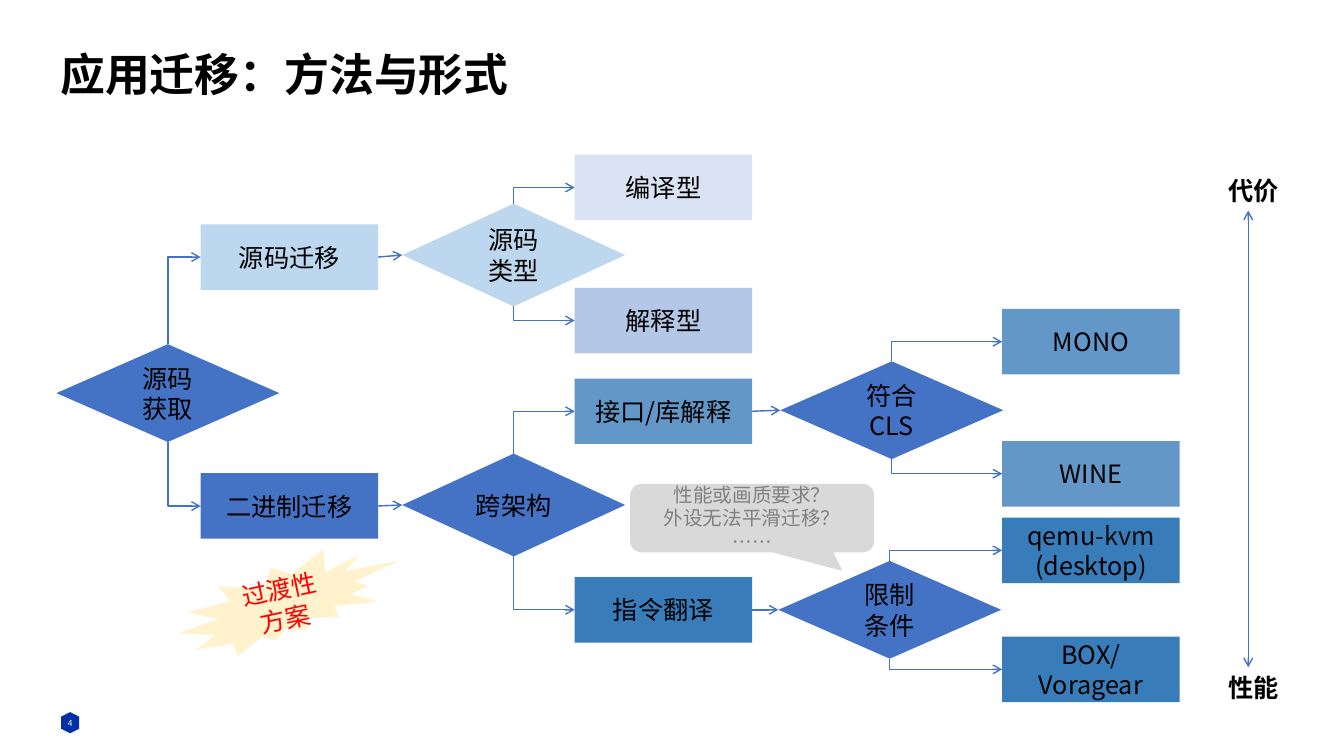
from dataclasses import dataclass

from lxml.etree import SubElement
from pptx import Presentation
from pptx.dml.color import RGBColor
from pptx.enum.shapes import MSO_CONNECTOR, MSO_SHAPE
from pptx.enum.text import MSO_ANCHOR, PP_ALIGN
from pptx.oxml.ns import qn
from pptx.util import Inches, Pt


@dataclass(frozen=True)
class Theme:
    font: str = "Noto Sans CJK SC"
    title: int = 32
    body: int = 18
    note: int = 14
    number: int = 6
    line: int = 1
    black: str = "000000"
    near_black: str = "0D0D0D"
    white: str = "FFFFFF"
    gray: str = "808080"
    light_gray: str = "D9D9D9"
    red: str = "FF0000"
    cream: str = "FFF2CC"
    navy: str = "002FA7"
    blue: str = "4472C4"
    sky: str = "BDD7EE"
    pale: str = "DAE3F3"
    soft: str = "B4C7E7"
    deep: str = "2E75B6"


@dataclass(frozen=True)
class Box:
    left: float
    top: float
    width: float
    height: float

    def inner(self, left, top, width, height):
        return Box(self.left + left, self.top + top, width, height)

    def emu(self):
        return [Inches(v) for v in (self.left, self.top, self.width, self.height)]


THEME = Theme()
TOP, LEFT, BOTTOM, RIGHT = range(4)
DECISION_COLUMNS = (0, 3.43, 7.18)
CARD_COLUMNS = (1.43, 5.14, 9.38)
DECISION_WIDTH = 2.21
CARD_WIDTH, CARD_HEIGHT = 1.76, 0.65


def write(shape, lines, size=THEME.body, color=THEME.black, bold=False,
          align=PP_ALIGN.CENTER, anchor=MSO_ANCHOR.MIDDLE):
    frame = shape.text_frame
    frame.word_wrap = True
    frame.vertical_anchor = anchor
    for index, line in enumerate(lines):
        paragraph = frame.add_paragraph() if index else frame.paragraphs[0]
        paragraph.alignment = align
        for text, run_color in [(line, color)] if isinstance(line, str) else line:
            run = paragraph.add_run()
            run.text = text
            run.font.color.rgb = RGBColor.from_string(run_color)
            for name, value in {"size": Pt(size), "bold": bold, "name": THEME.font}.items():
                setattr(run.font, name, value)
            SubElement(run.font._element, qn("a:ea"), typeface=THEME.font)


def add_label(slide, box, lines, **style):
    write(slide.shapes.add_textbox(*box.emu()), lines, **style)


def add_block(slide, kind, box, fill, lines=(), alpha=100, rotation=0, **style):
    shape = slide.shapes.add_shape(kind, *box.emu())
    shape.shadow.inherit = False
    shape.rotation = rotation
    shape.line.fill.background()
    shape.fill.solid()
    shape.fill.fore_color.rgb = RGBColor.from_string(fill)
    if alpha < 100:
        color = shape._element.spPr.find(qn("a:solidFill"))[0]
        SubElement(color, qn("a:alpha"), val=str(alpha * 1000))
    write(shape, lines, **style)
    return shape


def add_arrow(slide, kind, start=(0, 0), end=(0, 0), ends=("tailEnd",)):
    connector = slide.shapes.add_connector(kind, *map(Inches, start + end))
    connector.line.color.rgb = RGBColor.from_string(THEME.blue)
    connector.line.width = Pt(THEME.line)
    for name in ends:
        SubElement(connector.line._get_or_add_ln(), qn(f"a:{name}"), type="arrow")
    SubElement(connector._element.spPr, qn("a:effectLst"))
    return connector


def join(slide, card, decision):
    connector = add_arrow(slide, MSO_CONNECTOR.STRAIGHT)
    connector.begin_connect(card, RIGHT)
    connector.end_connect(decision, LEFT)


def branch(slide, decision, card, upward):
    connector = add_arrow(slide, MSO_CONNECTOR.ELBOW)
    connector.begin_connect(decision, TOP if upward else BOTTOM)
    connector.end_connect(card, LEFT)
    start_x = decision.left + decision.width // 2
    start_y = decision.top if upward else decision.top + decision.height
    end_x, end_y = card.left, card.top + card.height // 2
    across, along = end_x - start_x, abs(end_y - start_y)
    frame = {
        "left": (start_x + end_x - along) // 2,
        "top": (start_y + end_y - across) // 2,
        "width": along,
        "height": across,
    }
    for name, value in frame.items():
        setattr(connector, name, value)
    properties = connector._element.spPr
    properties.find(qn("a:prstGeom")).set("prst", "bentConnector2")
    turn = {"rot": "16200000" if upward else "5400000", "flipH": "0",
            "flipV": "0" if upward else "1"}
    for name, value in turn.items():
        properties.find(qn("a:xfrm")).set(name, value)


def draw_flow(slide, box):
    def decision(column, middle, height, fill, *lines, shift=0):
        place = box.inner(DECISION_COLUMNS[column] + shift, middle - height / 2,
                          DECISION_WIDTH, height)
        return add_block(slide, MSO_SHAPE.FLOWCHART_DECISION, place, fill, lines)

    def card(column, middle, fill, *lines, alpha=100):
        place = box.inner(CARD_COLUMNS[column], middle - CARD_HEIGHT / 2,
                          CARD_WIDTH, CARD_HEIGHT)
        return add_block(slide, MSO_SHAPE.RECTANGLE, place, fill, lines, alpha)

    access = decision(0, 2.37, 0.97, THEME.blue, "源码", "获取")
    source = card(0, 1.02, THEME.sky, "源码迁移")
    binary = card(0, 3.49, THEME.blue, "二进制迁移")
    source_type = decision(1, 1, 1.02, THEME.sky, "源码", "类型")
    compiled = card(1, 0.33, THEME.pale, "编译型")
    interpreted = card(1, 1.65, THEME.soft, "解释型")
    cross = decision(1, 3.48, 1.02, THEME.blue, "跨架构")
    library = card(1, 2.55, THEME.deep, "接口/库解释", alpha=75)
    translation = card(1, 4.52, THEME.deep, "指令翻译", alpha=95)
    standard = decision(2, 2.54, 0.97, THEME.blue, "符合", "CLS")
    mono = card(2, 1.86, THEME.deep, "MONO", alpha=75)
    wine = card(2, 3.17, THEME.deep, "WINE", alpha=75)
    limits = decision(2, 4.52, 0.97, THEME.blue, "限制", "条件", shift=-0.02)
    machine = [("qemu", THEME.black), ("-kvm", THEME.near_black)]
    virtual = card(2, 3.93, THEME.deep, machine, "(desktop)", alpha=95)
    emulator = card(2, 5.11, THEME.deep, "BOX/Voragear", alpha=95)

    for origin, upper, lower in (
        (access, source, binary),
        (source_type, compiled, interpreted),
        (cross, library, translation),
        (standard, mono, wine),
        (limits, virtual, emulator),
    ):
        branch(slide, origin, upper, True)
        branch(slide, origin, lower, False)
    for start, end in ((source, source_type), (binary, cross),
                       (library, standard), (translation, limits)):
        join(slide, start, end)


def draw_notes(slide, box):
    callout = add_block(
        slide, MSO_SHAPE.ROUNDED_RECTANGULAR_CALLOUT, box.inner(5.69, 3.27, 2.42, 0.68),
        THEME.light_gray, ("性能或画质要求？", "外设无法平滑迁移？", "……"),
        size=THEME.note, color=THEME.gray)
    for index, value in enumerate((0.37, 0.77, 0.17)):
        callout.adjustments[index] = value
    add_block(slide, MSO_SHAPE.EXPLOSION2, box.inner(1.17, 4, 2.3, 0.86),
              THEME.cream, ("过渡性", "方案"), rotation=348, color=THEME.red)


def draw_scale(slide, box):
    label_height = 0.4
    last = box.height - label_height
    for text, top in (("代价", 0), ("性能", last)):
        add_label(slide, box.inner(0, top, box.width, label_height), [text],
                  bold=True, anchor=MSO_ANCHOR.TOP)
    middle = box.left + 0.37
    add_arrow(slide, MSO_CONNECTOR.STRAIGHT, (middle, box.top + label_height),
              (middle, box.top + last), ("headEnd", "tailEnd"))


def draw_page_number(slide, box):
    add_block(slide, MSO_SHAPE.HEXAGON, box.inner(0.1, 0.11, 0.21, 0.18),
              THEME.navy, rotation=90)
    add_label(slide, box, ["4"], size=THEME.number, color=THEME.white)


def main():
    presentation = Presentation()
    presentation.slide_width, presentation.slide_height = Inches(13.33), Inches(7.5)
    slide = presentation.slides.add_slide(presentation.slide_layouts[6])
    flow = Box(0.56, 1.53, 11.14, 5.44)
    draw_page_number(slide, Box(0.49, 6.97, 0.41, 0.4))
    add_label(slide, Box(0.5, 0.38, 12.34, 0.71), ["应用迁移：方法与形式"],
              size=THEME.title, bold=True, align=PP_ALIGN.LEFT)
    draw_flow(slide, flow)
    draw_scale(slide, Box(12.01, 1.69, 0.84, 5.33))
    draw_notes(slide, flow)
    presentation.save("out.pptx")


if __name__ == "__main__":
    main()
